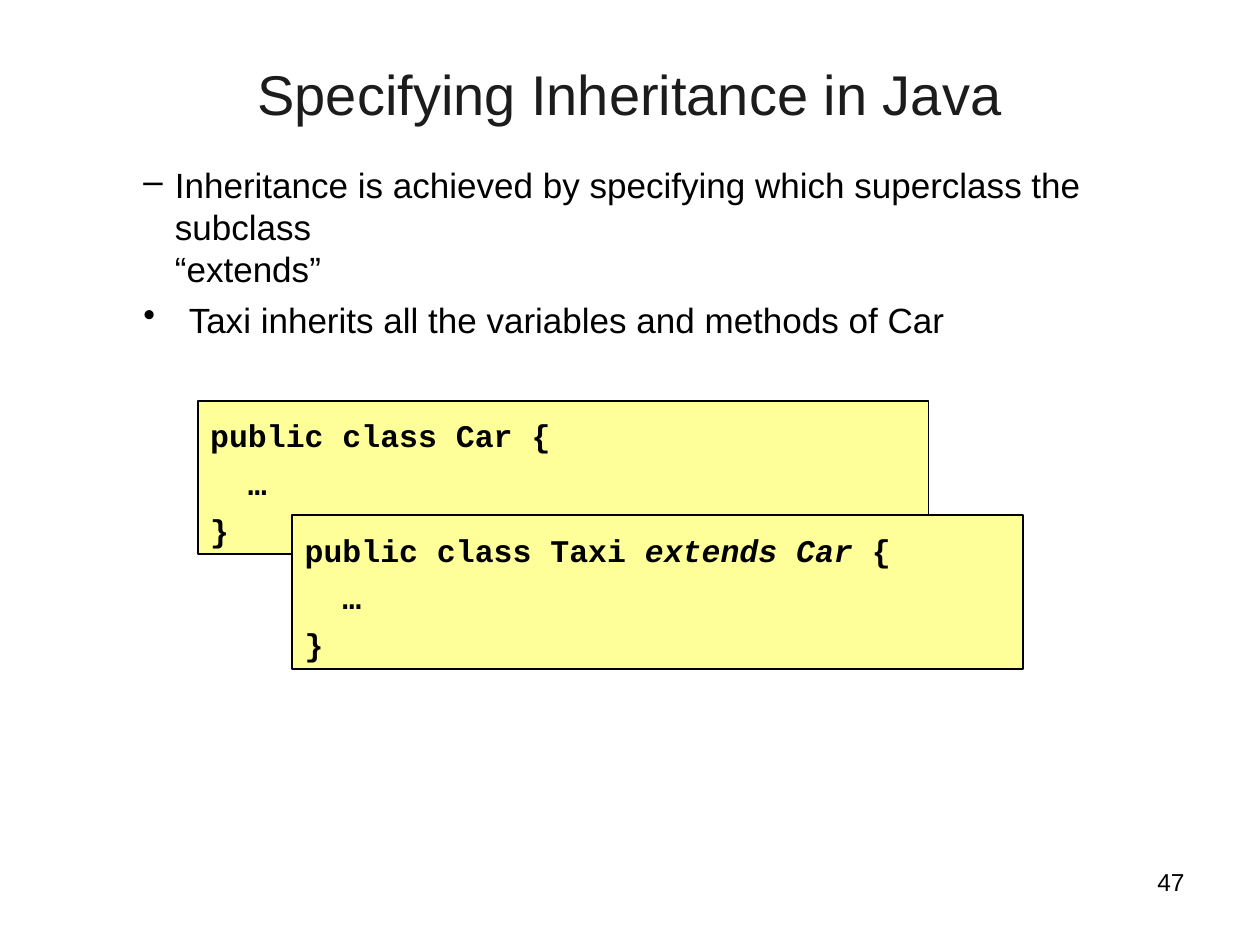
from pptx import Presentation
from pptx.dml.color import RGBColor
from pptx.enum.shapes import MSO_SHAPE
from pptx.enum.text import MSO_ANCHOR, PP_ALIGN
from pptx.oxml.ns import qn
from pptx.util import Inches, Pt
from lxml import etree

RECTANGLE = MSO_SHAPE.RECTANGLE
TOP = MSO_ANCHOR.TOP
LEFT, CENTER, RIGHT = PP_ALIGN.LEFT, PP_ALIGN.CENTER, PP_ALIGN.RIGHT
BLACK = RGBColor(0x00, 0x00, 0x00)
CHARCOAL = RGBColor(0x1C, 0x1C, 0x1C)
YELLOW = RGBColor(0xFF, 0xFF, 0x99)

presentation = Presentation()
presentation.slide_width = Inches(10)
presentation.slide_height = Inches(7.5)
WIDTH = presentation.slide_width / 100
HEIGHT = presentation.slide_height / 100
slide = presentation.slides.add_slide(presentation.slide_layouts[5])


def area(left, top, width, height):
    return [int(left * WIDTH), int(top * HEIGHT), int(width * WIDTH), int(height * HEIGHT)]


def add_run(paragraph, text, size, color=BLACK, font_name="Arial"):
    run = paragraph.add_run()
    run.text = text
    run.font.size = Pt(size)
    run.font.name = font_name
    run.font.color.rgb = color
    return run


title = slide.shapes.title
title.left, title.top, title.width, title.height = area(7.5, 5.6, 85, 16.67)
title.text_frame.vertical_anchor = TOP
title_paragraph = title.text_frame.paragraphs[0]
title_paragraph.alignment = CENTER
add_run(title_paragraph, "Specifying Inheritance in Java", 32, CHARCOAL)

body = slide.shapes.add_textbox(*area(9.2, 16.67, 82.4, 20)).text_frame
body.word_wrap = True
bullets = [
    ("–", 0.37, -0.25, ["Inheritance is achieved by specifying which superclass the subclass", "“extends”"]),
    ("•", 0.48, -0.36, ["Taxi inherits all the variables and methods of Car"]),
]
for index, (symbol, margin, indent, lines) in enumerate(bullets):
    paragraph = body.add_paragraph() if index else body.paragraphs[0]
    paragraph.space_before = Pt(5 if index else 0)
    properties = paragraph._p.get_or_add_pPr()
    properties.set("marL", str(Inches(margin)))
    properties.set("indent", str(Inches(indent)))
    etree.SubElement(properties, qn("a:buChar")).set("char", symbol)
    for line_index, line in enumerate(lines):
        if line_index:
            paragraph.add_line_break()
        add_run(paragraph, line, 20)

code_boxes = [
    (15.7, 42.4, [("public class Car {", False)]),
    (23.2, 54.53, [("public class Taxi ", False), ("extends Car", True), (" {", False)]),
]
for left, top, declaration in code_boxes:
    code_box = slide.shapes.add_shape(RECTANGLE, *area(left, top, 58, 16.27))
    code_box.shadow.inherit = False
    code_box.fill.solid()
    code_box.fill.fore_color.rgb = YELLOW
    code_box.line.color.rgb = BLACK
    code_box.line.width = Pt(1)
    code = code_box.text_frame
    code.word_wrap = True
    code.vertical_anchor = TOP
    for index, line in enumerate([declaration, [("  …", False)], [("}", False)]]):
        paragraph = code.add_paragraph() if index else code.paragraphs[0]
        paragraph.alignment = LEFT
        paragraph.line_spacing = 1.25
        for text, italic in line:
            run = add_run(paragraph, text, 18, font_name="Courier New")
            run.font.bold = True
            run.font.italic = italic

page_number = slide.shapes.add_textbox(*area(71.7, 91.07, 23.3, 6.93)).text_frame
page_number.word_wrap = True
page_number.paragraphs[0].alignment = RIGHT
add_run(page_number.paragraphs[0], "47", 14)

presentation.save("out.pptx")
